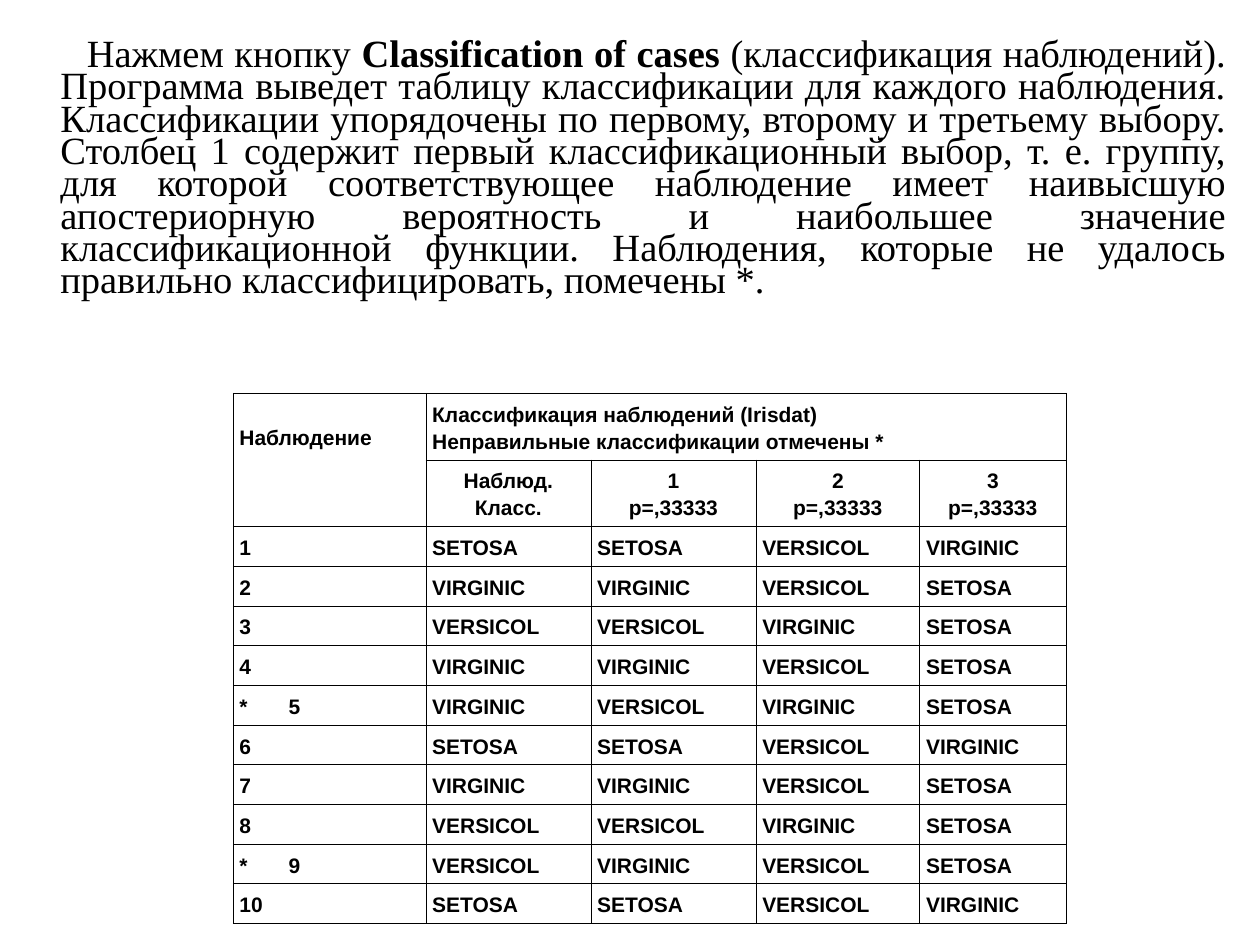
from lxml import etree
from pptx import Presentation
from pptx import util as u
from pptx.dml.color import RGBColor
from pptx.enum import text
from pptx.oxml import ns

HUES = {"ink": "000000", "paper": "FFFFFF"}
LEFT, MID = text.PP_ALIGN.JUSTIFY, text.PP_ALIGN.CENTER

INTRO = [
    ("Нажмем кнопку ", False),
    ("Classification of cases", True),
    (" (классификация наблюдений). Программа выведет таблицу классификации "
     "для каждого наблюдения. Классификации упорядочены по первому, второму "
     "и третьему выбору. Столбец 1 содержит первый классификационный выбор, "
     "т. е. группу, для которой соответствующее наблюдение имеет наивысшую "
     "апостериорную вероятность и наибольшее значение классификационной "
     "функции. Наблюдения, которые не удалось правильно классифицировать, "
     "помечены *.", False),
]
TITLE = ["Классификация наблюдений (Irisdat)",
         "Неправильные классификации отмечены *"]
HEADS = [["Наблюд.", "Класс."]] + [[str(n), "p=,33333"] for n in (1, 2, 3)]
SE, VE, VI = "SETOSA", "VERSICOL", "VIRGINIC"
CASES = [
    ("1", SE, SE, VE, VI),
    ("2", VI, VI, VE, SE),
    ("3", VE, VE, VI, SE),
    ("4", VI, VI, VE, SE),
    ("*\t5", VI, VE, VI, SE),
    ("6", SE, SE, VE, VI),
    ("7", VI, VI, VE, SE),
    ("8", VE, VE, VI, SE),
    ("*\t9", VE, VI, VE, SE),
    ("10", SE, SE, VE, VI),
]
COLS = [1.53, 1.31, 1.31, 1.3, 1.16]
ROWS = [0.53] * 2 + [0.31] * len(CASES)


def put(item, **vals):
    for key, val in vals.items():
        setattr(item, key, val)


def node(root, tag, **attrs):
    return etree.SubElement(root, ns.qn("a:" + tag), attrs)


class Deck:
    def __init__(self, wide, high):
        self.prs = Presentation()
        put(self.prs, slide_width=u.Inches(wide), slide_height=u.Inches(high))
        self.slide = self.prs.slides.add_slide(self.prs.slide_layouts[1])
        fill = self.slide.background.fill
        fill.solid()
        fill.fore_color.rgb = RGBColor.from_string(HUES["paper"])
        title = self.slide.shapes.title
        title.element.getparent().remove(title.element)

    def run(self, para, words, face, size, bold):
        run = para.add_run()
        run.text = words
        put(run.font, name=face, size=u.Pt(size), bold=bold)
        run.font.color.rgb = RGBColor.from_string(HUES["ink"])

    def body(self, runs, left, top, wide, high):
        box = self.slide.placeholders[1]
        put(box, left=u.Inches(left), top=u.Inches(top),
            width=u.Inches(wide), height=u.Inches(high))
        put(box.text_frame, auto_size=text.MSO_AUTO_SIZE.NONE, word_wrap=True,
            vertical_anchor=text.MSO_ANCHOR.TOP)
        para = box.text_frame.paragraphs[0]
        put(para, alignment=LEFT, line_spacing=0.7, space_before=u.Pt(0))
        props = para._p.get_or_add_pPr()
        props.set("marL", str(u.Inches(0.38)))
        props.set("indent", str(u.Inches(0.21)))
        node(props, "buNone")
        for words, bold in runs:
            self.run(para, words, "Times New Roman", 22, bold)

    def grid(self, left, top, cols, rows):
        """Add an unfilled table with thin lines round every cell."""
        frame = self.slide.shapes.add_table(
            len(rows), len(cols), u.Inches(left), u.Inches(top),
            u.Inches(sum(cols)), u.Inches(sum(rows)))
        table = frame.table
        put(table, first_row=False, horz_banding=False)
        for col, wide in zip(table.columns, cols):
            col.width = u.Inches(wide)
        for row, high in zip(table.rows, rows):
            row.height = u.Inches(high)
        for cell in table.iter_cells():
            for side in ("left", "right", "top", "bottom"):
                setattr(cell, "margin_" + side, u.Inches(0.05))
            props = cell._tc.get_or_add_tcPr()
            for tag in ("lnL", "lnR", "lnT", "lnB"):
                line = node(props, tag, w=str(u.Pt(0.45)))
                node(node(line, "solidFill"), "srgbClr", val=HUES["ink"])
            cell.fill.background()
        return table

    def cell(self, cell, lines, align=LEFT):
        frame = cell.text_frame
        for i, words in enumerate(lines):
            para = frame.add_paragraph() if i else frame.paragraphs[0]
            put(para, alignment=align, line_spacing=1.15)
            if "\t" in words:
                tabs = node(para._p.get_or_add_pPr(), "tabLst")
                node(tabs, "tab", pos=str(u.Inches(0.39)), algn="l")
            self.run(para, words, "Arial", 12, True)


def main():
    deck = Deck(10, 7.5)
    deck.body(INTRO, 0, 0.28, 9.83, 2.84)

    table = deck.grid(1.85, 3.12, COLS, ROWS)
    corner, title = table.cell(0, 0), table.cell(0, 1)
    corner.merge(table.cell(1, 0))
    title.merge(table.cell(0, 4))
    corner.margin_top = u.Inches(0.24)
    deck.cell(corner, ["Наблюдение"])
    deck.cell(title, TITLE)
    for c, lines in enumerate(HEADS, 1):
        deck.cell(table.cell(1, c), lines, MID)
    for r, case in enumerate(CASES, 2):
        for c, words in enumerate(case):
            deck.cell(table.cell(r, c), [words])
    deck.prs.save("out.pptx")


if __name__ == "__main__":
    main()
